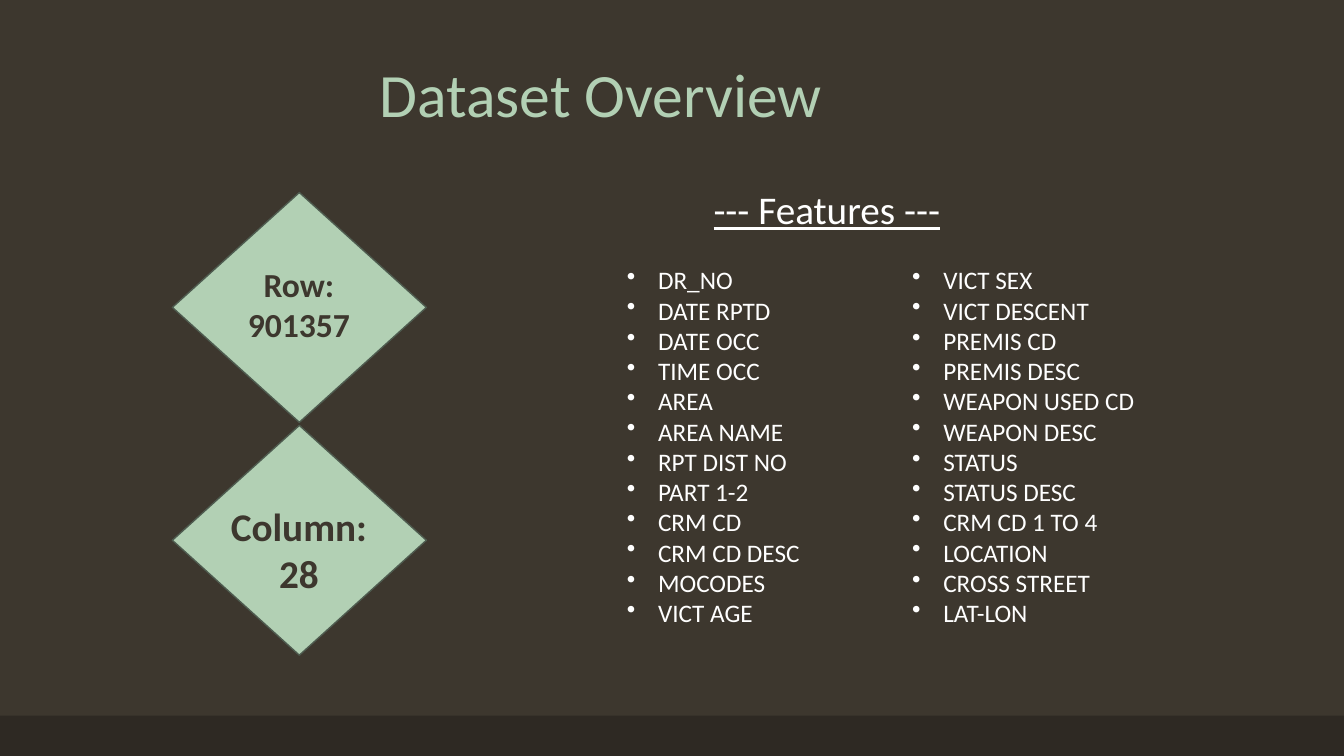
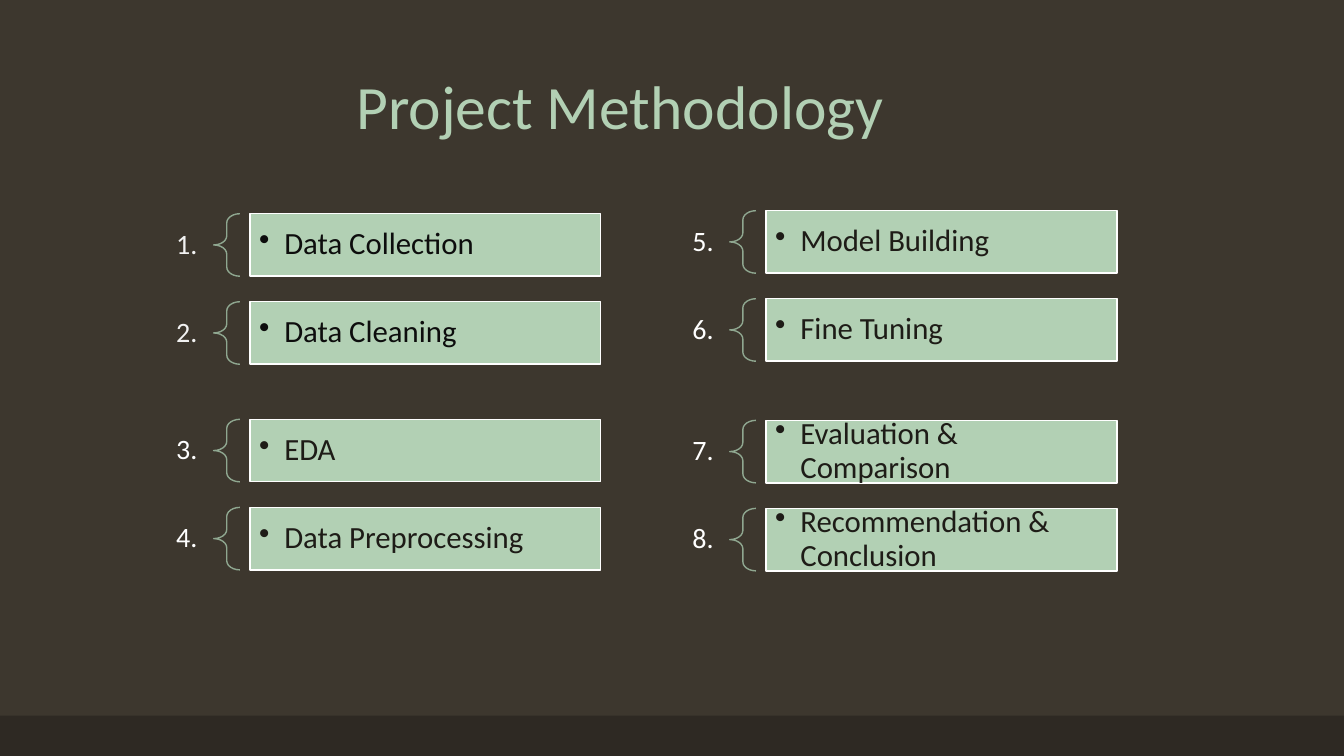
"""Build the dataset overview and project methodology slides."""
import pptx
import pptx.dml.color
import pptx.enum.shapes
import pptx.enum.text
import pptx.oxml
import pptx.oxml.ns
import pptx.util

COLUMNS, ROWS = 40, 22.5
FONT = "Calibri"
COLORS = {
    "background": "3D372E",
    "band": "2E2923",
    "accent": "B2D0B4",
    "diamond_line": "4E5B4F",
    "brace": "8FA790",
    "white": "FFFFFF",
    "off_white": "F2F2F2",
    "near_black": "0D0D0D",
    "dark": "1E1C17",
}
SHAPE = pptx.enum.shapes.MSO_SHAPE
ALIGN = pptx.enum.text.PP_ALIGN
ANCHOR = pptx.enum.text.MSO_ANCHOR

FEATURES = [
    ["DR_NO", "DATE RPTD", "DATE OCC", "TIME OCC", "AREA", "AREA NAME",
     "RPT DIST NO", "PART 1-2", "CRM CD", "CRM CD DESC", "MOCODES", "VICT AGE"],
    ["VICT SEX", "VICT DESCENT", "PREMIS CD", "PREMIS DESC", "WEAPON USED CD",
     "WEAPON DESC", "STATUS", "STATUS DESC", "CRM CD 1 TO 4", "LOCATION",
     "CROSS STREET", "LAT-LON"],
]
STEP_PAIRS = [
    (0, 6.36, ["Data Collection", "Data Cleaning"], "off_white", "near_black"),
    (0, 12.48, ["EDA", "Data Preprocessing"], "white", "dark"),
    (15.36, 6.27, ["Model Building", "Fine Tuning"], "white", "dark"),
    (15.36, 12.51, ["Evaluation & Comparison", "Recommendation & Conclusion"],
     "white", "dark"),
]


def rgb(name):
    """Return the named palette colour."""
    return pptx.dml.color.RGBColor.from_string(COLORS[name])


def add_bullet(paragraph, indent):
    """Give a paragraph a round bullet with a hanging indent in inches."""
    properties = paragraph._p.get_or_add_pPr()
    hanging = pptx.util.Inches(indent)
    properties.set("marL", str(hanging))
    properties.set("indent", str(-hanging))
    bullet = pptx.oxml.parse_xml(
        f'<a:buChar {pptx.oxml.ns.nsdecls("a")} char="•"/>')
    properties.append(bullet)


def write(shape, lines, size=18, color="white", bold=False, underline=False,
          align=ALIGN.LEFT, anchor=ANCHOR.TOP, spacing=None, bullet=None,
          insets=(0.1, 0.05)):
    """Write one paragraph per line into a shape."""
    frame = shape.text_frame
    frame.word_wrap = True
    frame.vertical_anchor = anchor
    frame.margin_left = frame.margin_right = pptx.util.Inches(insets[0])
    frame.margin_top = frame.margin_bottom = pptx.util.Inches(insets[1])
    for index, line in enumerate(lines):
        paragraph = frame.add_paragraph() if index else frame.paragraphs[0]
        if bullet:
            add_bullet(paragraph, bullet)
        paragraph.alignment = align
        if spacing:
            paragraph.line_spacing = spacing
        run = paragraph.add_run()
        run.text = line
        run.font.name = FONT
        run.font.size = pptx.util.Pt(size)
        run.font.bold = bold
        run.font.underline = underline
        run.font.color.rgb = rgb(color)


class Deck:
    """Hold the presentation style and the current slide."""

    def __init__(self):
        """Create an empty widescreen presentation with a dark master."""
        self.presentation = pptx.Presentation()
        self.presentation.slide_width = pptx.util.Inches(13.33)
        self.presentation.slide_height = pptx.util.Inches(7.5)
        fill = self.presentation.slide_master.background.fill
        fill.solid()
        fill.fore_color.rgb = rgb("background")
        self.slide = None

    def place(self, left, top, width, height):
        """Convert grid columns and rows to slide lengths."""
        column = self.presentation.slide_width / COLUMNS
        row = self.presentation.slide_height / ROWS
        return [round(length) for length in
                (left * column, top * row, width * column, height * row)]

    def add_slide(self, title, box, align=ALIGN.LEFT):
        """Start a slide with its bottom band and title."""
        layout = self.presentation.slide_layouts[6]
        self.slide = self.presentation.slides.add_slide(layout)
        self.shape(SHAPE.RECTANGLE, (0, 21.3, COLUMNS, 1.2), fill="band")
        self.text([title], box, size=44, color="accent", align=align,
                  anchor=ANCHOR.BOTTOM, spacing=0.9)

    def text(self, lines, box, **style):
        """Add a text box."""
        shape = self.slide.shapes.add_textbox(*self.place(*box))
        write(shape, lines, **style)

    def shape(self, kind, box, fill=None, line=None):
        """Add a preset shape with an optional fill and outline."""
        shape = self.slide.shapes.add_shape(kind, *self.place(*box))
        shape.shadow.inherit = False
        if fill:
            shape.fill.solid()
            shape.fill.fore_color.rgb = rgb(fill)
        else:
            shape.fill.background()
        if line:
            shape.line.color.rgb = rgb(line)
            shape.line.width = pptx.util.Pt(1)
        else:
            shape.line.fill.background()
        return shape

    def step(self, number, label, left, top, number_color, label_color):
        """Add a numbered step: number, brace and labelled bar."""
        height = 1.86
        self.text([f"{number}."], (left + 2.52, top, 3.84, height), size=20,
                  color=number_color, align=ALIGN.RIGHT, anchor=ANCHOR.MIDDLE,
                  spacing=0.9, insets=(0.16, 0.06))
        brace = self.shape(SHAPE.LEFT_BRACE, (left + 6.36, top, 0.78, height),
                           line="brace")
        brace.adjustments[0] = 0.35
        bar = self.shape(SHAPE.RECTANGLE, (left + 7.44, top, 10.44, height),
                         fill="accent", line="white")
        write(bar, [label], size=22, color=label_color, anchor=ANCHOR.MIDDLE,
              spacing=0.9, bullet=0.25, insets=(0.09, 0.09))


def build_overview(deck):
    """Build the dataset overview slide."""
    deck.add_slide("Dataset Overview", (11, 1.95, 15.12, 2.1))
    counts = [(["Row:", "901357"], 24, 7.71, 2.73),
              (["Column:", "28"], 28, 14.79, 3.12)]
    for index, (lines, size, top, height) in enumerate(counts):
        deck.shape(SHAPE.FLOWCHART_DECISION,
                   (5.13, 5.73 + index * 6.93, 7.56, 6.84),
                   fill="accent", line="diamond_line")
        deck.text(lines, (6.3, top, 5.19, height), size=size,
                  color="background", bold=True, align=ALIGN.CENTER)
    deck.text(["--- Features ---"], (20.94, 5.37, 8.97, 1.71), size=28,
              underline=True)
    for index, names in enumerate(FEATURES):
        deck.text(names, (18.36 + index * 8.49, 7.73, 7.56, 11.22),
                  align=ALIGN.JUSTIFY, bullet=0.31)


def build_methodology(deck):
    """Build the project methodology slide."""
    deck.add_slide("Project Methodology", (9.6, 2.52, 17.73, 1.89),
                   align=ALIGN.CENTER)
    number = 0
    for left, top, labels, number_color, label_color in STEP_PAIRS:
        for index, label in enumerate(labels):
            number += 1
            deck.step(number, label, left, top + index * 2.62,
                      number_color, label_color)


def main():
    """Build and save the presentation."""
    deck = Deck()
    build_overview(deck)
    build_methodology(deck)
    deck.presentation.save("out.pptx")


if __name__ == "__main__":
    main()
